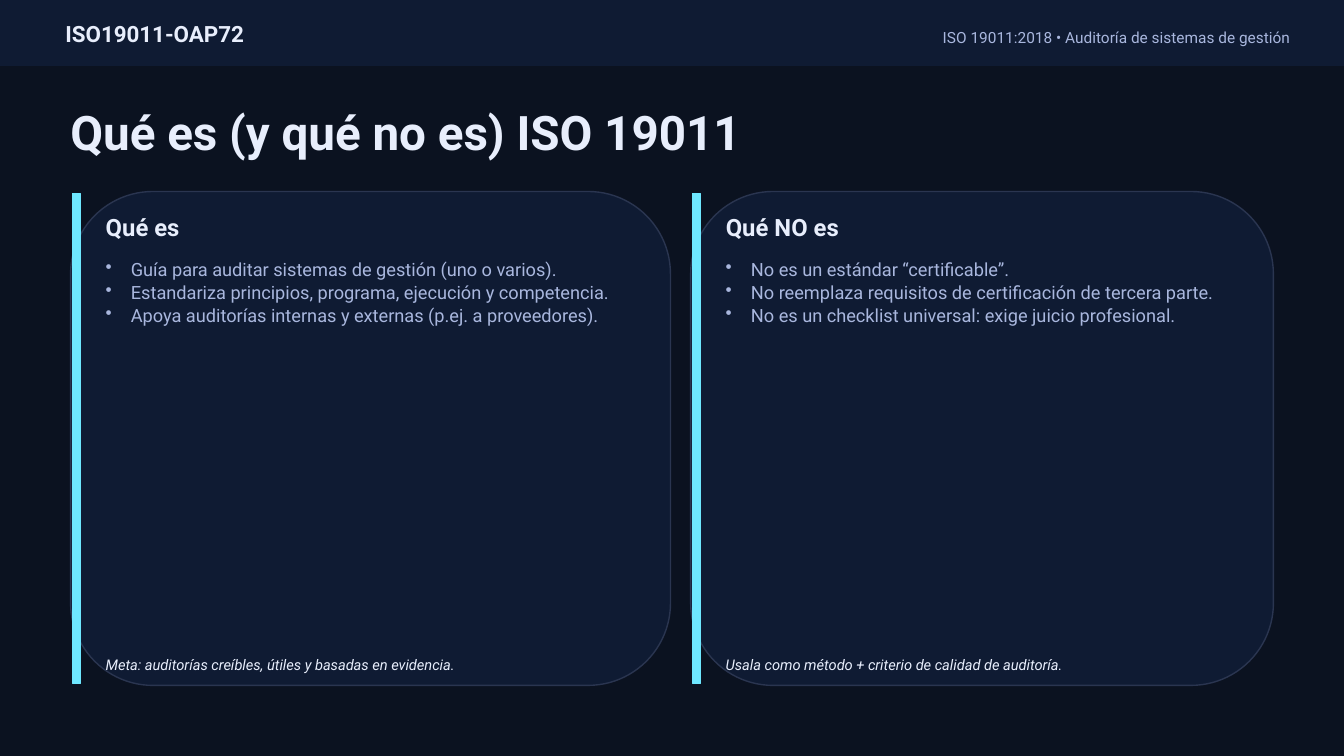
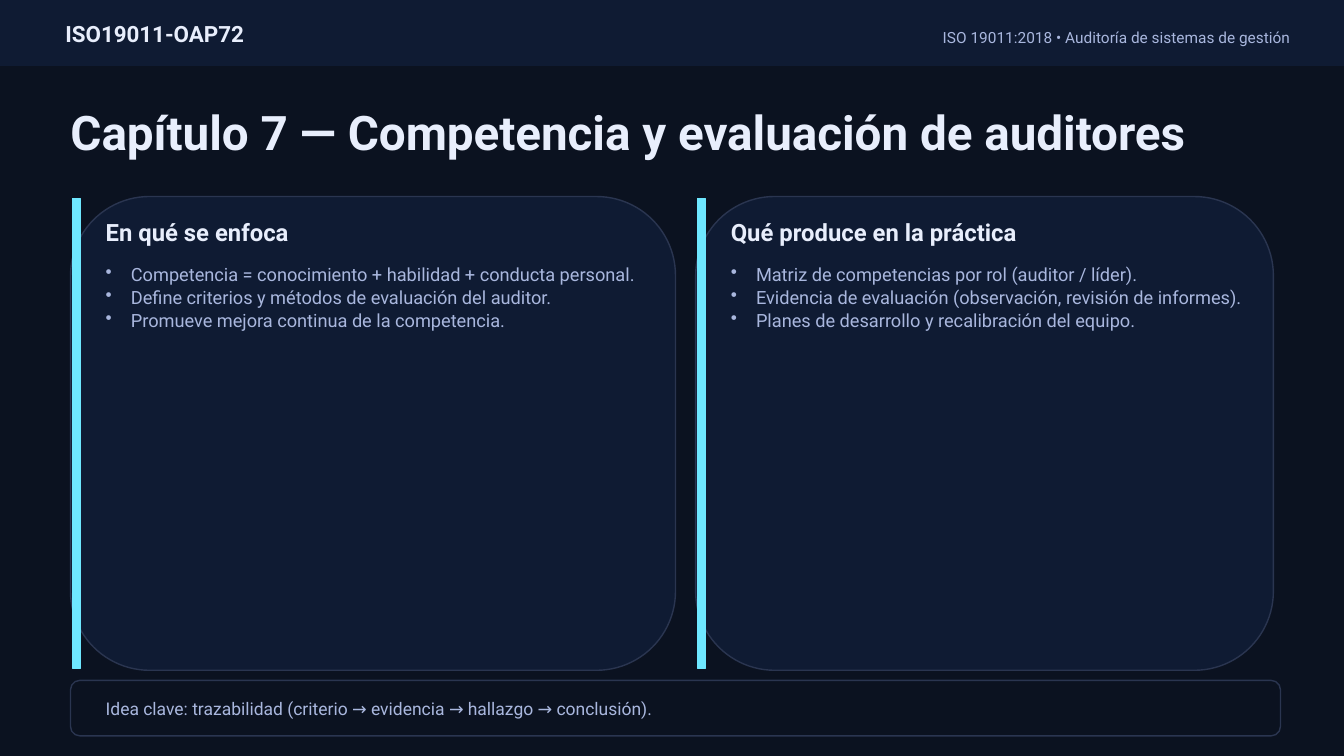
"""Build two slides on ISO 19011 laid out on a grid of 0.05-inch units."""
from dataclasses import dataclass

from lxml import etree
from pptx import Presentation
from pptx.dml.color import RGBColor
from pptx.enum.shapes import MSO_SHAPE
from pptx.enum.text import MSO_ANCHOR, PP_ALIGN
from pptx.oxml.ns import qn
from pptx.util import Inches, Pt

RECT, ROUND = MSO_SHAPE.RECTANGLE, MSO_SHAPE.ROUNDED_RECTANGLE
TOP, MIDDLE = MSO_ANCHOR.TOP, MSO_ANCHOR.MIDDLE
LEFT, RIGHT = PP_ALIGN.LEFT, PP_ALIGN.RIGHT

UNIT = 0.05
SLIDE_COLS, SLIDE_ROWS = 266.6, 150
MARGIN, PANEL_END, GUTTER = 14, 252.6, 4


@dataclass(frozen=True)
class Theme:
    """Colours, font and type sizes of the deck."""
    font: str = "Roboto"
    back: str = "0B1220"
    panel: str = "0F1B33"
    border: str = "2A3550"
    accent: str = "6EE7FF"
    light: str = "E8EEFC"
    muted: str = "A9B7DE"
    title: float = 34
    heading: float = 17
    brand: float = 16
    body: float = 13
    idea: float = 12.5
    topic: float = 11
    note: float = 10.5


T = Theme()


def grid(*units):
    """Turn grid units into lengths."""
    return [Inches(round(u * UNIT, 2)) for u in units]


def rgb(color):
    """Turn a hex string into a colour."""
    return RGBColor.from_string(color)


def add_box(slide, kind, box, fill, line, opacity=None):
    """Add a filled preset shape, optionally translucent."""
    sp = slide.shapes.add_shape(kind, *grid(*box))
    sp.shadow.inherit = False
    sp.fill.solid()
    sp.fill.fore_color.rgb = rgb(fill)
    sp.line.color.rgb = rgb(line)
    sp.line.width = Pt(1)
    if opacity is not None:
        color = sp.fill._xPr.find(qn("a:solidFill"))[0]
        etree.SubElement(color, qn("a:alpha"), val=str(opacity * 1000))


def set_bullet(p):
    """Give a paragraph a hanging bullet."""
    p.line_spacing = 1.05
    pPr = p._p.get_or_add_pPr()
    indent = Inches(0.25)
    pPr.set("marL", str(indent))
    pPr.set("indent", str(-indent))
    etree.SubElement(pPr, qn("a:buChar"), char="•")


def add_text(slide, box, *lines, size, color=T.light, bold=False, italic=False,
             align=LEFT, anchor=MIDDLE, bullets=False):
    """Add a text box with one paragraph per line."""
    tf = slide.shapes.add_textbox(*grid(*box)).text_frame
    tf.word_wrap = True
    tf.vertical_anchor = anchor
    for i, line in enumerate(lines):
        p = tf.add_paragraph() if i else tf.paragraphs[0]
        p.alignment = align
        if bullets:
            set_bullet(p)
        r = p.add_run()
        r.text = line
        r.font.name, r.font.size = T.font, Pt(size)
        r.font.bold, r.font.italic = bold, italic
        r.font.color.rgb = rgb(color)


def add_slide(prs, title):
    """Add a slide with the shared background, header band and title."""
    slide = prs.slides.add_slide(prs.slide_layouts[6])
    slide.background.fill.solid()
    slide.background.fill.fore_color.rgb = rgb(T.back)
    add_box(slide, RECT, (0, 0, SLIDE_COLS, 13), T.panel, T.panel)
    add_text(slide, (11, 3.2, 110, 7), "ISO19011-OAP72", size=T.brand, bold=True)
    add_text(slide, (122, 4, 136, 7), "ISO 19011:2018 • Auditoría de sistemas de gestión",
             size=T.topic, color=T.muted, align=RIGHT)
    add_text(slide, (12, 19, 244, 14), title, size=T.title, bold=True)
    return slide


def add_panel(slide, box, heading, points, note=None):
    """Add a panel with accent bar, heading, bullets and optional note."""
    x, y, w, h = box
    add_box(slide, ROUND, box, T.panel, T.border)
    add_box(slide, RECT, (x + 0.4, y + 0.4, 1.6, h - 0.8), T.accent, T.accent)
    add_text(slide, (x + 5, y + 3.6, w - 8, 7), heading, size=T.heading, bold=True)
    add_text(slide, (x + 5, y + 12, w - 9, h - 17), *points, size=T.body,
             color=T.muted, anchor=TOP, bullets=True)
    if note:
        add_text(slide, (x + 5, y + h - 7, w - 9, 5.6), note, size=T.note, italic=True)


def add_panels(slide, top, rows, first_cols, panels):
    """Place two panels side by side between the margins."""
    second = MARGIN + first_cols + GUTTER
    spans = [(MARGIN, first_cols), (second, PANEL_END - second)]
    for (x, w), content in zip(spans, panels):
        add_panel(slide, (x, top, w, rows), *content)


def add_key_idea(slide, text):
    """Add the outlined strip with the key idea at the foot."""
    add_box(slide, ROUND, (MARGIN, 135, 240, 11), T.back, T.border, opacity=65)
    add_text(slide, (MARGIN + 5, 137.6, 230, 6), text, size=T.idea, color=T.muted)


def main():
    """Build and save the deck."""
    prs = Presentation()
    prs.slide_width, prs.slide_height = grid(SLIDE_COLS, SLIDE_ROWS)

    slide = add_slide(prs, "Qué es (y qué no es) ISO 19011")
    add_panels(slide, 38, 98, 119, [
        ("Qué es",
         ["Guía para auditar sistemas de gestión (uno o varios).",
          "Estandariza principios, programa, ejecución y competencia.",
          "Apoya auditorías internas y externas (p.ej. a proveedores)."],
         "Meta: auditorías creíbles, útiles y basadas en evidencia."),
        ("Qué NO es",
         ["No es un estándar “certificable”.",
          "No reemplaza requisitos de certificación de tercera parte.",
          "No es un checklist universal: exige juicio profesional."],
         "Usala como método + criterio de calidad de auditoría."),
    ])

    slide = add_slide(prs, "Capítulo 7 — Competencia y evaluación de auditores")
    add_panels(slide, 39, 94, 120, [
        ("En qué se enfoca",
         ["Competencia = conocimiento + habilidad + conducta personal.",
          "Define criterios y métodos de evaluación del auditor.",
          "Promueve mejora continua de la competencia."]),
        ("Qué produce en la práctica",
         ["Matriz de competencias por rol (auditor / líder).",
          "Evidencia de evaluación (observación, revisión de informes).",
          "Planes de desarrollo y recalibración del equipo."]),
    ])
    add_key_idea(slide, "Idea clave: trazabilidad (criterio → evidencia → hallazgo → conclusión).")

    prs.save("out.pptx")


if __name__ == "__main__":
    main()
